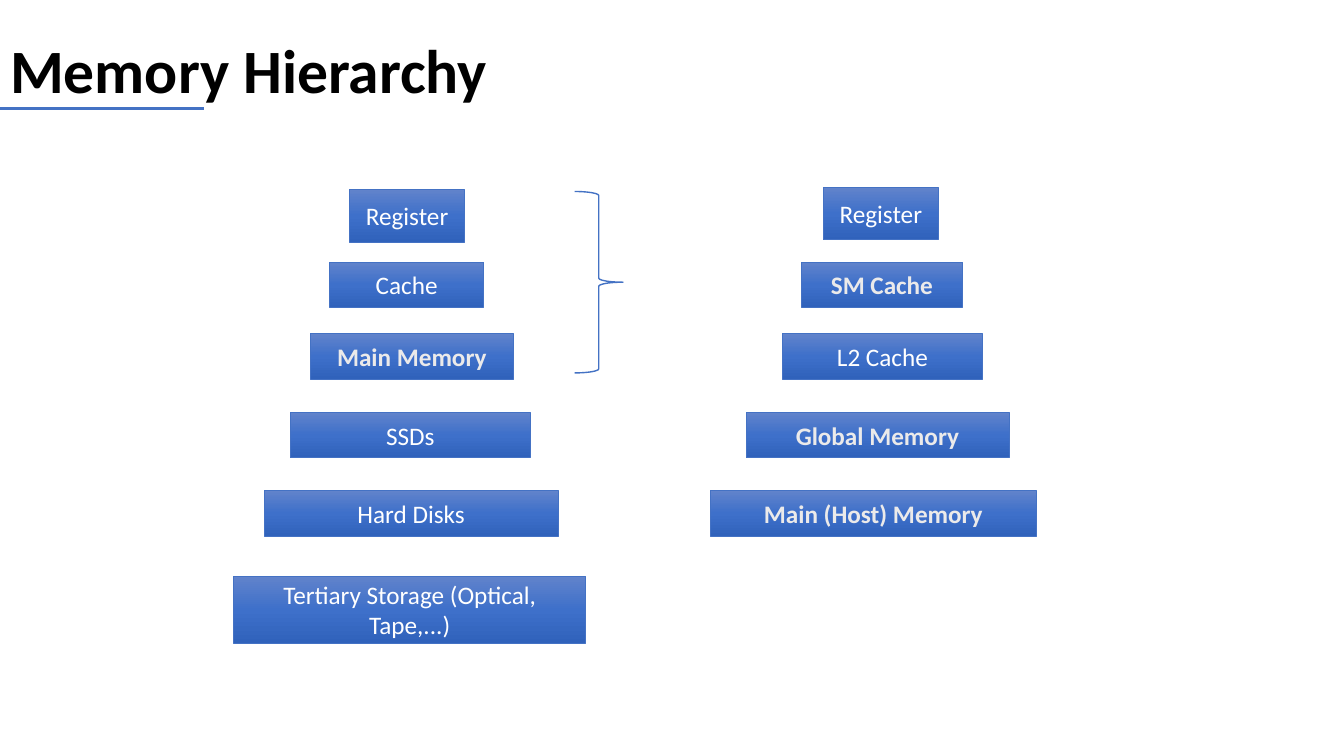
from copy import deepcopy

from lxml import etree
from pptx import Presentation
from pptx.dml.color import RGBColor
from pptx.enum.shapes import MSO_CONNECTOR, MSO_SHAPE
from pptx.enum.text import MSO_ANCHOR, PP_ALIGN
from pptx.oxml.ns import qn
from pptx.util import Pt

BLACK = RGBColor(0x00, 0x00, 0x00)
WHITE = RGBColor(0xFF, 0xFF, 0xFF)
PALE = RGBColor(0xEB, 0xEA, 0xEA)
BLUE = RGBColor(0x44, 0x72, 0xC4)
OUTLINE = RGBColor(0x3A, 0x52, 0x74)
GRADIENT = [
    (0, RGBColor(0x61, 0x83, 0xCB)),
    (0.5, RGBColor(0x3E, 0x70, 0xCA)),
    (1, RGBColor(0x30, 0x62, 0xBB)),
]
RECTANGLE, PROCESS = MSO_SHAPE.RECTANGLE, MSO_SHAPE.FLOWCHART_PROCESS
BRACE, STRAIGHT = MSO_SHAPE.RIGHT_BRACE, MSO_CONNECTOR.STRAIGHT
LEFT, CENTER, MIDDLE = PP_ALIGN.LEFT, PP_ALIGN.CENTER, MSO_ANCHOR.MIDDLE

TITLE_FONT = {"name": "Calibri", "size": Pt(44), "bold": True}
PLAIN_FONT = {"name": "Calibri", "size": Pt(18), "bold": False}
STRONG_FONT = {"name": "Calibri", "size": Pt(18), "bold": True}

ROWS = [(135.4, 37.4), (187.2, 32.4), (238.3, 32.4), (294.5, 32.4), (350.6, 32.4), (411.8, 47.5)]
CPU_LEVELS = [
    ("Register", 249.8, 82.1, False),
    ("Cache", 235.4, 110.2, False),
    ("Main Memory", 221.8, 144.7, True),
    ("SSDs", 207.4, 171.4, False),
    ("Hard Disks", 188.6, 210.2, False),
    ("Tertiary Storage (Optical, Tape,...)", 167, 251.3, False),
]
GPU_LEVELS = [
    ("Register", 588.2, 82.1, False),
    ("SM Cache", 572.4, 115.2, True),
    ("L2 Cache", 558.7, 143.3, False),
    ("Global Memory", 532.8, 187.9, True),
    ("Main (Host) Memory", 507.6, 232.6, True),
]
GPU_REGISTER_TOP = 133.9


def format_font(font, values, color):
    for name, value in values.items():
        setattr(font, name, value)
    font.color.rgb = color


def add_level(top, height, label, left, width, strong):
    kind = RECTANGLE if label == "Register" else PROCESS
    box = slide.shapes.add_shape(kind, Pt(left), Pt(top), Pt(width), Pt(height))
    box.shadow.inherit = False
    box.fill.gradient()
    box.fill.gradient_angle = 270
    stop_list = box._element.spPr.find(qn("a:gradFill")).find(qn("a:gsLst"))
    stop_list.insert(1, deepcopy(stop_list[0]))
    for stop, (position, color) in zip(box.fill.gradient_stops, GRADIENT):
        stop.position = position
        stop.color.rgb = color
    box.line.color.rgb = BLUE
    box.line.width = Pt(0.5)
    frame = box.text_frame
    frame.word_wrap = True
    frame.vertical_anchor = MIDDLE
    para = frame.paragraphs[0]
    para.alignment = CENTER
    span = para.add_run()
    span.text = label
    format_font(span.font, STRONG_FONT if strong else PLAIN_FONT, PALE if strong else WHITE)
    if strong:
        properties = span._r.get_or_add_rPr()
        outline = etree.Element(qn("a:ln"), w=str(Pt(1)))
        fill = etree.SubElement(outline, qn("a:solidFill"))
        etree.SubElement(fill, qn("a:srgbClr"), val=str(OUTLINE))
        properties.insert(0, outline)


deck = Presentation()
deck.slide_width, deck.slide_height = Pt(960), Pt(540)
slide = deck.slides.add_slide(deck.slide_layouts[5])

title = slide.shapes.title
title.left, title.top, title.width, title.height = Pt(0), Pt(0), Pt(828), Pt(104.4)
title.text_frame.vertical_anchor = MIDDLE
title_para = title.text_frame.paragraphs[0]
title_para.alignment = LEFT
title_para.line_spacing = 0.9
title_span = title_para.add_run()
title_span.text = "Memory Hierarchy"
format_font(title_span.font, TITLE_FONT, BLACK)

for (top, height), level in zip(ROWS, CPU_LEVELS):
    add_level(top, height, *level)

brace = slide.shapes.add_shape(BRACE, Pt(410.4), Pt(136.8), Pt(34.6), Pt(129.6))
brace.shadow.inherit = False
brace.fill.background()
brace.line.color.rgb = BLUE
brace.line.width = Pt(1)

gpu_rows = [(GPU_REGISTER_TOP, ROWS[0][1])] + ROWS[1:]
for (top, height), level in zip(gpu_rows, GPU_LEVELS):
    add_level(top, height, *level)

underline = slide.shapes.add_connector(STRAIGHT, Pt(0), Pt(77.8), Pt(145.4), Pt(77.8))
underline.line.color.rgb = BLUE
underline.line.width = Pt(2.25)
etree.SubElement(underline._element.spPr, qn("a:effectLst"))

deck.save("out.pptx")
